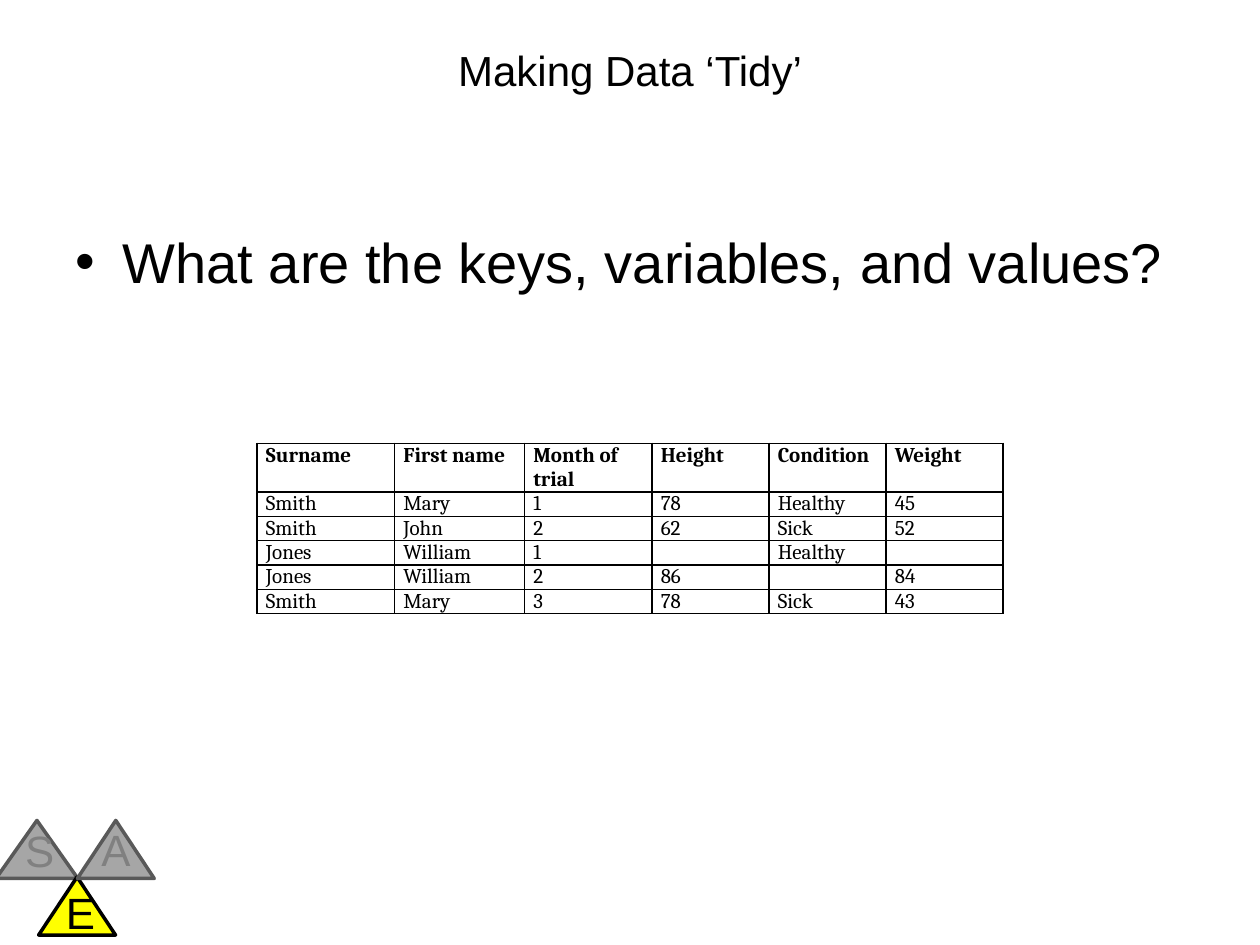
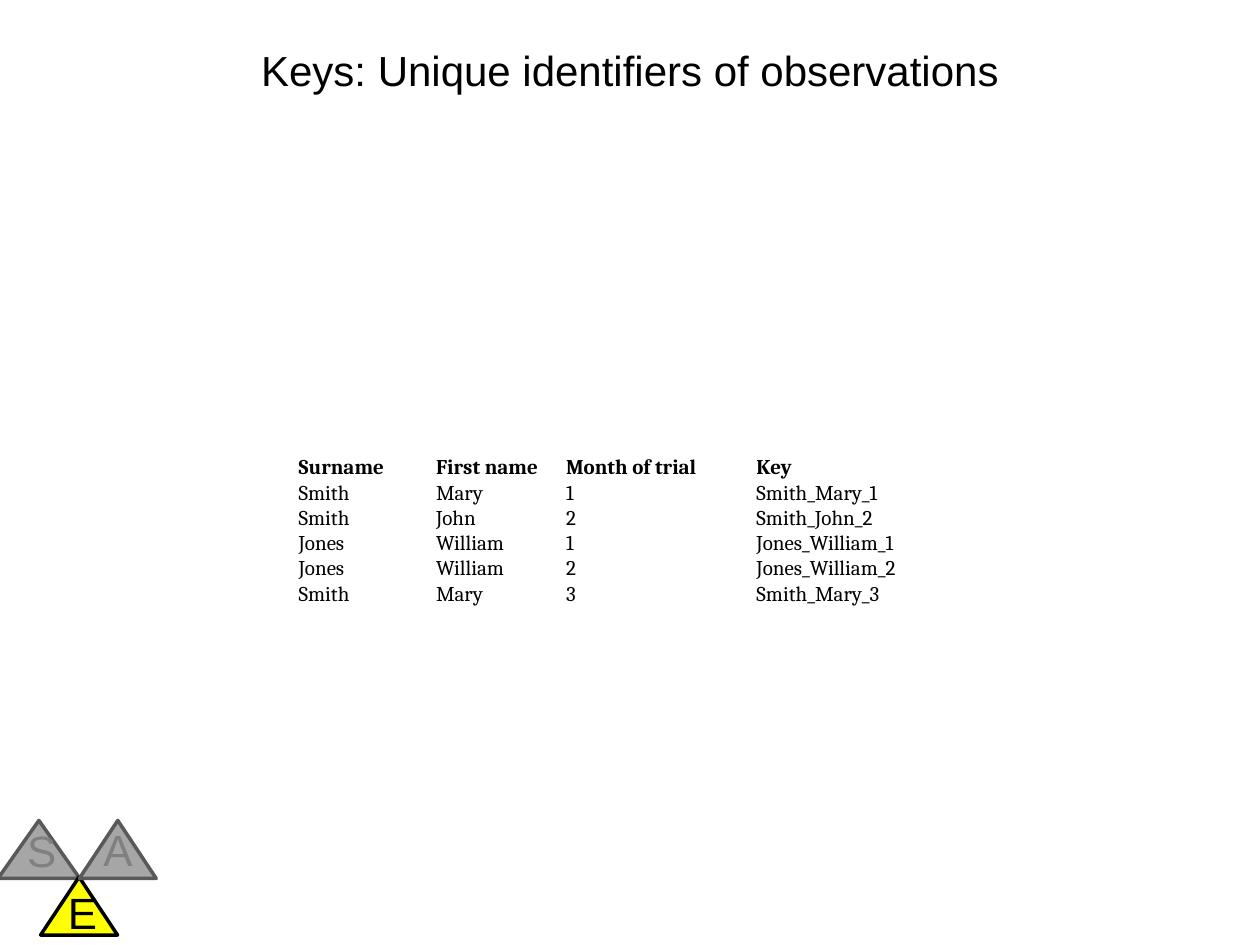
import pptx
import pptx.util
import pptx.dml.color
import pptx.enum.shapes
import pptx.enum.text
import pptx.oxml.ns
import lxml.etree

Cm = pptx.util.Cm
Pt = pptx.util.Pt
RGBColor = pptx.dml.color.RGBColor
qn = pptx.oxml.ns.qn

BLACK = RGBColor(0x00, 0x00, 0x00)
WHITE = RGBColor(0xFF, 0xFF, 0xFF)
YELLOW = RGBColor(0xFF, 0xFF, 0x00)
LIGHT_GRAY = RGBColor(0xA6, 0xA6, 0xA6)
MID_GRAY = RGBColor(0x80, 0x80, 0x80)
DARK_GRAY = RGBColor(0x59, 0x59, 0x59)

TRIANGLES = [
    (0, 16.54, 1.65, LIGHT_GRAY, DARK_GRAY),
    (0.86, 17.68, 1.55, YELLOW, BLACK),
    (1.64, 16.54, 1.55, LIGHT_GRAY, DARK_GRAY),
]
LETTERS = [
    ("A", 1.67, 16.46, MID_GRAY),
    ("S", 0.13, 16.48, MID_GRAY),
    ("E", 0.95, 17.73, BLACK),
]

observations = [
    ("Smith", "Mary", "1", "78", "Healthy", "45"),
    ("Smith", "John", "2", "62", "Sick", "52"),
    ("Jones", "William", "1", "", "Healthy", ""),
    ("Jones", "William", "2", "86", "", "84"),
    ("Smith", "Mary", "3", "78", "Sick", "43"),
]
id_header = ("Surname", "First name", "Month of trial")
data_rows = [id_header + ("Height", "Condition", "Weight")] + observations
key_rows = [id_header + ("Key",)] + [o[:3] + ("_".join(o[:3]),) for o in observations]

SLIDES = [
    {
        "title": "Making Data ‘Tidy’",
        "body": "What are the keys, variables, and values?",
        "rows": data_rows,
        "left": 5.18, "top": 8.94,
        "widths": [2.77, 2.62, 2.57, 2.36, 2.36, 2.36],
        "header_height": 0.98, "row_height": 0.49,
        "border": BLACK,
        "badge_left": -0.08,
    },
    {
        "title": "Keys: Unique identifiers of observations",
        "body": None,
        "rows": key_rows,
        "left": 5.84, "top": 9.19,
        "widths": [2.77, 2.62, 3.84, 4.5],
        "header_height": 0.51, "row_height": 0.51,
        "border": WHITE,
        "badge_left": -0.04,
    },
]


def add_run(p, text, size, color=BLACK, font="Arial", bold=False):
    r = p.add_run()
    r.text = text
    r.font.name = font
    r.font.size = Pt(size)
    r.font.bold = bold
    r.font.color.rgb = color


def set_borders(cell, color):
    tcPr = cell._tc.get_or_add_tcPr()
    for i, side in enumerate(("lnL", "lnR", "lnT", "lnB")):
        ln = lxml.etree.Element(qn("a:" + side), w=str(Pt(1)))
        fill = lxml.etree.SubElement(ln, qn("a:solidFill"))
        lxml.etree.SubElement(fill, qn("a:srgbClr"), val=str(color))
        tcPr.insert(i, ln)


prs = pptx.Presentation()
prs.slide_width = Cm(25.4)
prs.slide_height = Cm(19.05)

for page in SLIDES:
    s = prs.slides.add_slide(prs.slide_layouts[1 if page["body"] else 5])

    title = s.shapes.title
    title.left, title.top, title.width, title.height = Cm(1.27), Cm(0.76), Cm(22.86), Cm(3.18)
    tf = title.text_frame
    tf.auto_size = pptx.enum.text.MSO_AUTO_SIZE.NONE
    tf.vertical_anchor = pptx.enum.text.MSO_ANCHOR.TOP
    p = tf.paragraphs[0]
    p.alignment = pptx.enum.text.PP_ALIGN.CENTER
    add_run(p, page["title"], 24)

    if page["body"]:
        body = s.placeholders[1]
        body.left, body.top, body.width, body.height = Cm(1.27), Cm(4.45), Cm(22.86), Cm(12.57)
        tf = body.text_frame
        tf.auto_size = pptx.enum.text.MSO_AUTO_SIZE.NONE
        p = tf.paragraphs[0]
        p.space_before = Pt(0)
        add_run(p, page["body"], 32)

    rows, widths = page["rows"], page["widths"]
    height = page["header_height"] + page["row_height"] * (len(rows) - 1)
    table = s.shapes.add_table(
        len(rows), len(widths), Cm(page["left"]), Cm(page["top"]), Cm(sum(widths)), Cm(height)
    ).table
    table.first_row = False
    table.horz_banding = False
    for column, width in zip(table.columns, widths):
        column.width = Cm(width)
    for i, row in enumerate(rows):
        table.rows[i].height = Cm(page["row_height"] if i else page["header_height"])
        for j, text in enumerate(row):
            cell = table.cell(i, j)
            cell.margin_left = cell.margin_right = Cm(0.18)
            cell.margin_top = cell.margin_bottom = 0
            cell.fill.background()
            set_borders(cell, page["border"])
            p = cell.text_frame.paragraphs[0]
            if text:
                add_run(p, text, 12, font="Cambria", bold=i == 0)
            else:
                end = lxml.etree.SubElement(p._p, qn("a:endParaRPr"), sz="1200")
                lxml.etree.SubElement(end, qn("a:latin"), typeface="Cambria")

    badge = s.shapes.add_group_shape()
    x0 = page["badge_left"]
    for x, y, width, fill, line in TRIANGLES:
        sp = badge.shapes.add_shape(
            pptx.enum.shapes.MSO_SHAPE.ISOSCELES_TRIANGLE, Cm(x0 + x), Cm(y), Cm(width), Cm(1.17)
        )
        sp.shadow.inherit = False
        sp.fill.solid()
        sp.fill.fore_color.rgb = fill
        sp.line.color.rgb = line
        sp.line.width = Pt(2)
    for letter, x, y, color in LETTERS:
        sp = badge.shapes.add_textbox(Cm(x0 + x), Cm(y), Cm(1.5), Cm(1.32))
        tf = sp.text_frame
        tf.word_wrap = True
        p = tf.paragraphs[0]
        p.alignment = pptx.enum.text.PP_ALIGN.CENTER
        add_run(p, letter, 25, color)

prs.save("out.pptx")
